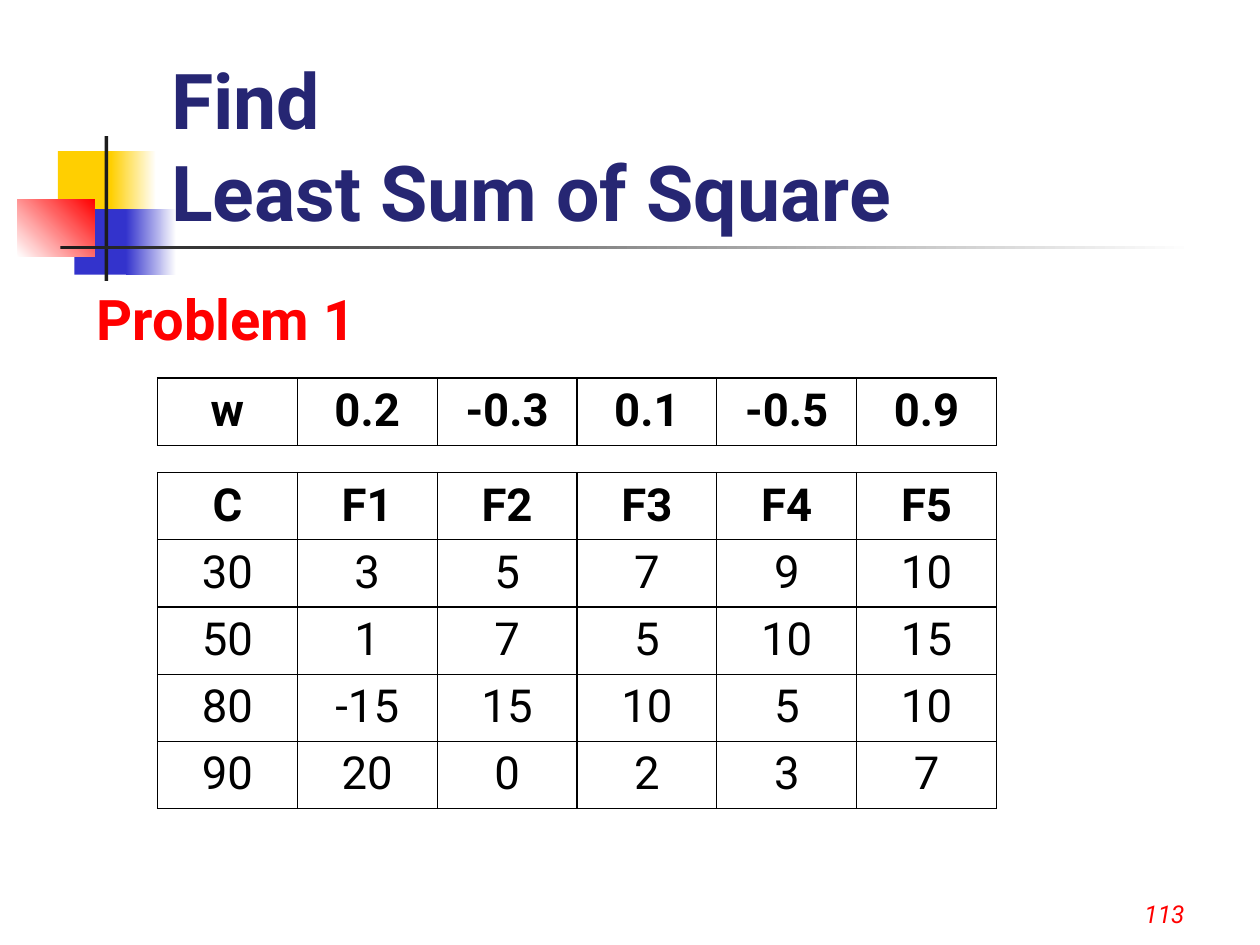
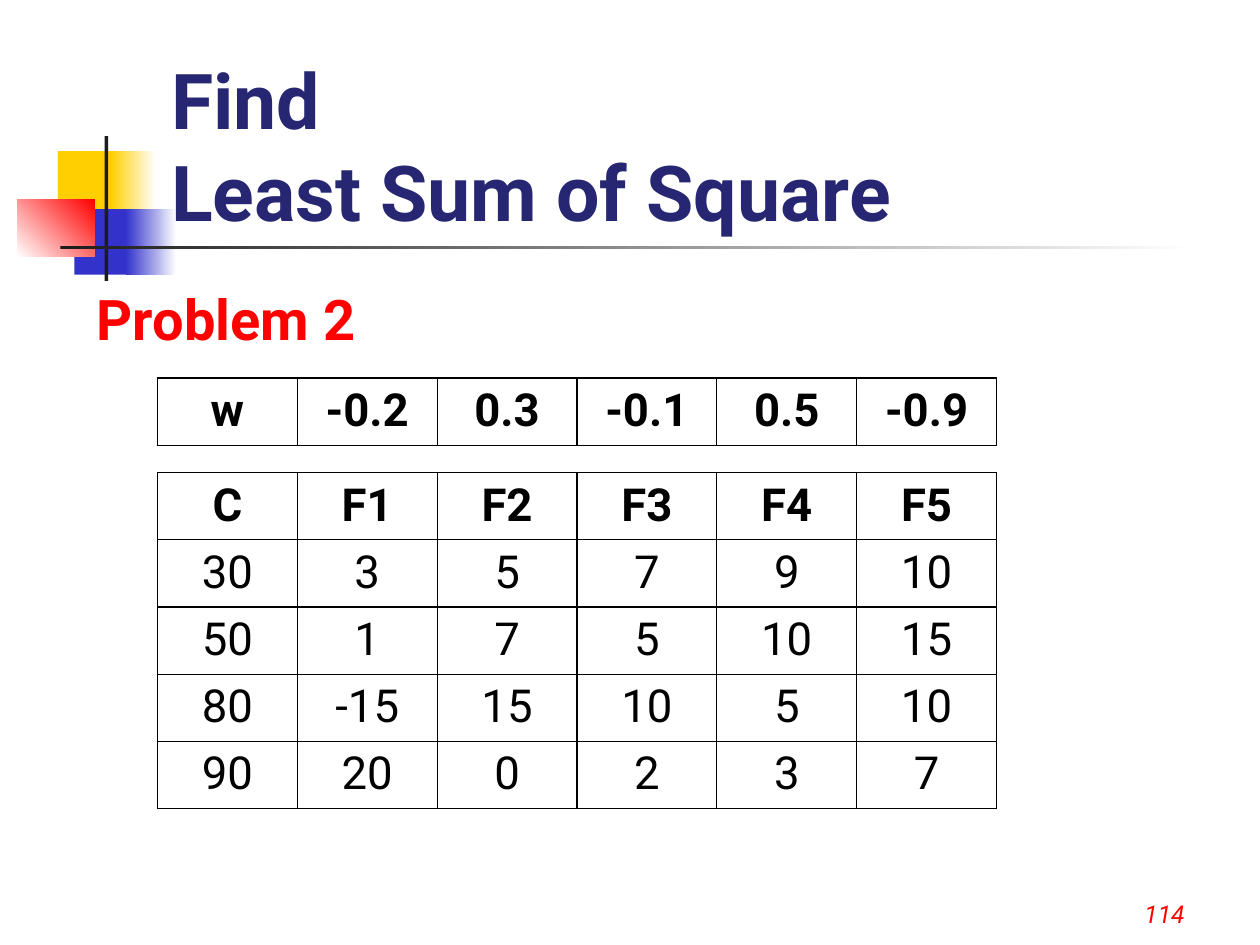
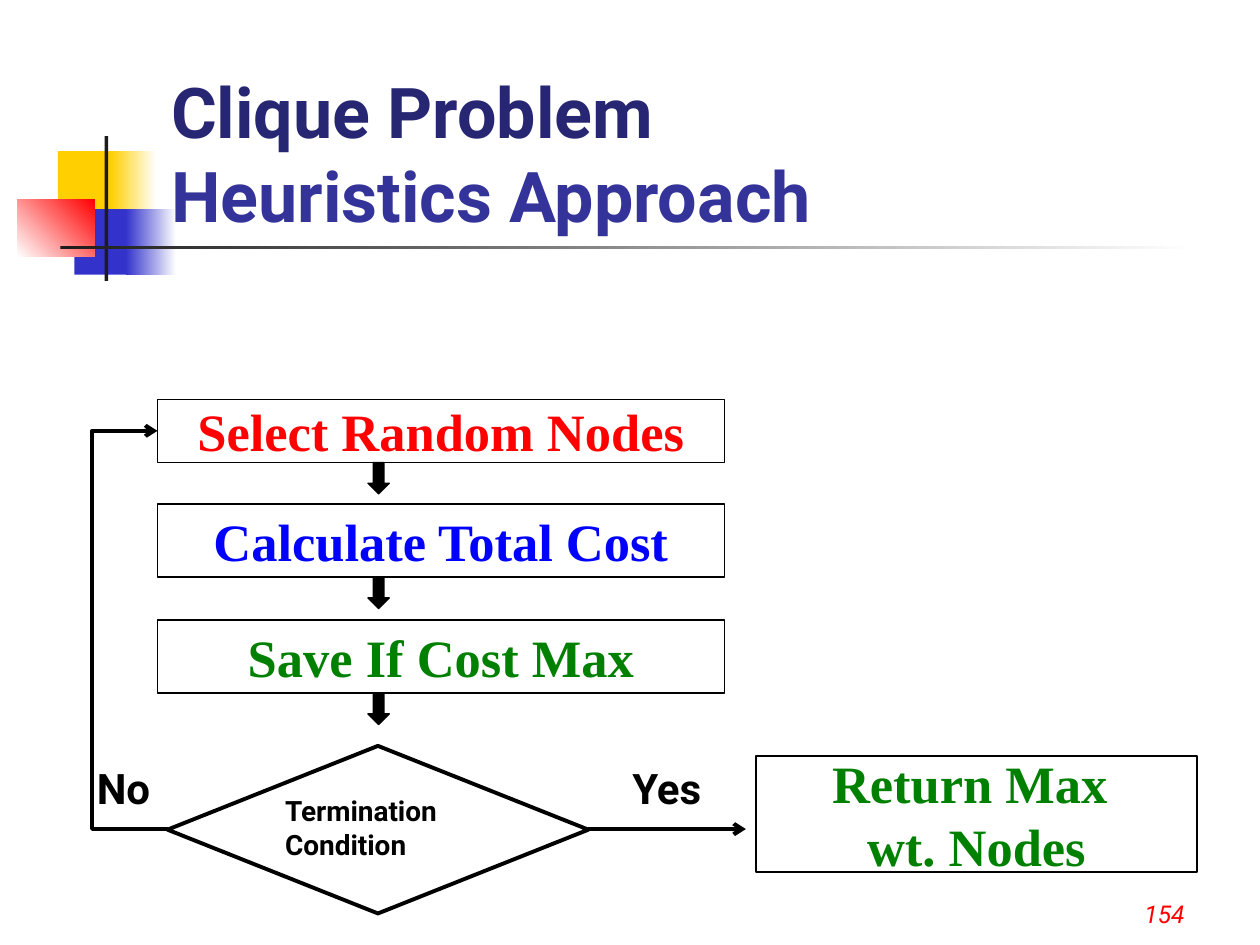
from typing import NamedTuple, Optional

import lxml.etree
import pptx
import pptx.dml.color
import pptx.enum.shapes
import pptx.enum.text
import pptx.oxml.ns
import pptx.util

SCALE = 9144
SANS, SERIF = "Roboto", "Times New Roman"
BLACK, WHITE, RED, BLUE, GREEN = "000000", "FFFFFF", "FF0000", "0000FF", "008000"
NAVY, INDIGO, GOLD, ROYAL, COAL = "262673", "333399", "FFCF01", "3333CC", "1C1C1C"

Kind = pptx.enum.shapes.MSO_SHAPE
Link = pptx.enum.shapes.MSO_CONNECTOR
Align = pptx.enum.text.PP_ALIGN
Anchor = pptx.enum.text.MSO_ANCHOR


class Box(NamedTuple):
    left: int
    top: int
    width: int
    height: int


class Style(NamedTuple):
    size: int
    color: str = BLACK
    face: str = SANS
    bold: bool = True
    slant: bool = False
    align: Align = Align.LEFT


class Block(NamedTuple):
    box: Box
    start: str
    end: Optional[str] = None
    angle: int = 0


class Step(NamedTuple):
    box: Box
    lines: list[str]
    color: str


class Label(NamedTuple):
    box: Box
    text: str


class Task(NamedTuple):
    name: str
    page: int
    weights: list[str]


BLOCKS = [
    Block(Box(46, 120, 48, 52), GOLD),
    Block(Box(88, 120, 36, 52), GOLD, WHITE),
    Block(Box(59, 166, 46, 52), ROYAL),
    Block(Box(100, 166, 40, 52), ROYAL, WHITE),
    Block(Box(14, 158, 61, 46), WHITE, RED, 45),
    Block(Box(83, 108, 3, 115), COAL),
    Block(Box(48, 195, 900, 3), COAL, WHITE),
]
TASKS = [
    Task("Problem 1", 113, ["w", "0.2", "-0.3", "0.1", "-0.5", "0.9"]),
    Task("Problem 2", 114, ["w", "-0.2", "0.3", "-0.1", "0.5", "-0.9"]),
]
DATA = [
    ["C", "F1", "F2", "F3", "F4", "F5"],
    ["30", "3", "5", "7", "9", "10"],
    ["50", "1", "7", "5", "10", "15"],
    ["80", "-15", "15", "10", "5", "10"],
    ["90", "20", "0", "2", "3", "7"],
]
STEPS = [
    Step(Box(125, 317, 450, 50), ["Select Random Nodes"], RED),
    Step(Box(125, 400, 450, 58), ["Calculate Total Cost"], BLUE),
    Step(Box(125, 492, 450, 58), ["Save If Cost Max"], GREEN),
    Step(Box(600, 600, 350, 92), ["Return Max ", "wt. Nodes"], GREEN),
]
LABELS = [Label(Box(67, 600, 67, 50), "No"), Label(Box(492, 600, 80, 50), "Yes")]
TEST = Box(133, 592, 334, 133)
COLUMN, ROW = 111, 52


def px(count: int) -> pptx.util.Emu:
    return pptx.util.Emu(count * SCALE)


def place(box: Box) -> list[pptx.util.Emu]:
    return [px(side) for side in box]


def hue(code: str) -> pptx.dml.color.RGBColor:
    return pptx.dml.color.RGBColor.from_string(code)


def dress(para, style: Style) -> None:
    para.alignment = style.align
    font = para.font
    font.name, font.size = style.face, pptx.util.Pt(style.size)
    font.bold, font.italic = style.bold, style.slant
    font.color.rgb = hue(style.color)


def write(frame, lines: list[str], style: Style, anchor=Anchor.TOP, wrap=True) -> None:
    frame.word_wrap = wrap
    frame.vertical_anchor = anchor
    frame.text = "\n".join(lines)
    for para in frame.paragraphs:
        dress(para, style)


def add_text(slide, box: Box, text: str, style: Style, anchor=Anchor.TOP, wrap=True):
    shape = slide.shapes.add_textbox(*place(box))
    write(shape.text_frame, [text], style, anchor, wrap)
    return shape


def add_shape(slide, kind: Kind, box: Box, fill: Optional[str], line: float = 0):
    shape = slide.shapes.add_shape(kind, *place(box))
    shape.shadow.inherit = False
    if fill:
        shape.fill.solid()
        shape.fill.fore_color.rgb = hue(fill)
    else:
        shape.fill.background()
    if line:
        shape.line.color.rgb = hue(BLACK)
        shape.line.width = pptx.util.Pt(line)
    else:
        shape.line.fill.background()
    return shape


def add_block(slide, block: Block) -> None:
    shape = add_shape(slide, Kind.RECTANGLE, block.box, block.start)
    if block.end:
        shape.fill.gradient()
        shape.fill.gradient_angle = block.angle
        for stop, code in zip(shape.fill.gradient_stops, (block.start, block.end)):
            stop.color.rgb = hue(code)


def add_slide(deck, title: list[tuple[str, str]], size: int, page: int):
    slide = deck.slides.add_slide(deck.slide_layouts[6])
    for block in BLOCKS:
        add_block(slide, block)
    text = "\v".join(line for line, _ in title)
    head = add_text(slide, Box(126, 68, 852, 125), text, Style(size, title[0][1]), Anchor.BOTTOM)
    for run, (_, code) in zip(head.text_frame.paragraphs[0].runs, title):
        run.font.color.rgb = hue(code)
    foot = Style(14, RED, bold=False, slant=True, align=Align.RIGHT)
    add_text(slide, Box(742, 692, 208, 50), str(page), foot, Anchor.BOTTOM)
    return slide


def edge(cell) -> None:
    props = cell._tc.get_or_add_tcPr()
    for spot, side in enumerate(("lnL", "lnR", "lnT", "lnB")):
        line = lxml.etree.Element(pptx.oxml.ns.qn(f"a:{side}"), w=str(pptx.util.Pt(0.75)))
        fill = lxml.etree.SubElement(line, pptx.oxml.ns.qn("a:solidFill"))
        lxml.etree.SubElement(fill, pptx.oxml.ns.qn("a:srgbClr"), val=BLACK)
        props.insert(spot, line)


def add_grid(slide, top: int, rows: list[list[str]]) -> None:
    wide, tall = len(rows[0]), len(rows)
    box = Box(125, top, wide * COLUMN, tall * ROW)
    table = slide.shapes.add_table(tall, wide, *place(box)).table
    table.first_row = table.horz_banding = False
    for y, row in enumerate(rows):
        for x, text in enumerate(row):
            cell = table.cell(y, x)
            cell.fill.background()
            edge(cell)
            cell.text = text
            dress(cell.text_frame.paragraphs[0], Style(26, bold=y == 0, align=Align.CENTER))


def add_arrow(slide, kind: Link, start: tuple[int, int], end: tuple[int, int]):
    arrow = slide.shapes.add_connector(kind, *[px(part) for part in start + end])
    arrow.line.color.rgb = hue(BLACK)
    arrow.line.width = pptx.util.Pt(2.25)
    props = arrow._element.spPr
    line = props.find(pptx.oxml.ns.qn("a:ln"))
    lxml.etree.SubElement(line, pptx.oxml.ns.qn("a:tailEnd"), type="arrow")
    lxml.etree.SubElement(props, pptx.oxml.ns.qn("a:effectLst"))
    return arrow


def bend(arrow, ratio: float) -> None:
    guides = next(arrow._element.iter(pptx.oxml.ns.qn("a:avLst")))
    value = f"val {round(ratio * 100000)}"
    lxml.etree.SubElement(guides, pptx.oxml.ns.qn("a:gd"), name="adj1", fmla=value)


def add_task(deck, task: Task) -> None:
    title = [("Find", NAVY), ("Least Sum of Square", NAVY)]
    slide = add_slide(deck, title, 44, task.page)
    add_grid(slide, 375, DATA)
    add_grid(slide, 300, [task.weights])
    add_text(slide, Box(67, 221, 950, 67), task.name, Style(32, RED))


def add_flow(deck) -> None:
    title = [("Clique Problem", NAVY), ("Heuristics Approach", INDIGO)]
    slide = add_slide(deck, title, 40, 154)
    for step in STEPS:
        shape = add_shape(slide, Kind.RECTANGLE, step.box, None, 0.75)
        style = Style(30, step.color, SERIF, align=Align.CENTER)
        write(shape.text_frame, step.lines, style, Anchor.MIDDLE, False)
    for step in STEPS[:3]:
        base = step.box.top + step.box.height
        add_shape(slide, Kind.DOWN_ARROW, Box(292, base, 17, 25), BLACK, 0.75)
    test = add_shape(slide, Kind.FLOWCHART_DECISION, TEST, WHITE, 2.25)
    write(test.text_frame, ["Termination", "Condition"], Style(16), wrap=False)
    back = add_arrow(slide, Link.ELBOW, (TEST.left, 658), (125, 342))
    bend(back, 7.5)
    add_arrow(slide, Link.STRAIGHT, (TEST.left + TEST.width, 658), (592, 658))
    for label in LABELS:
        add_text(slide, label.box, label.text, Style(24), wrap=False)


def main() -> None:
    deck = pptx.Presentation()
    deck.slide_width, deck.slide_height = px(1000), px(750)
    for task in TASKS:
        add_task(deck, task)
    add_flow(deck)
    deck.save("out.pptx")


if __name__ == "__main__":
    main()
